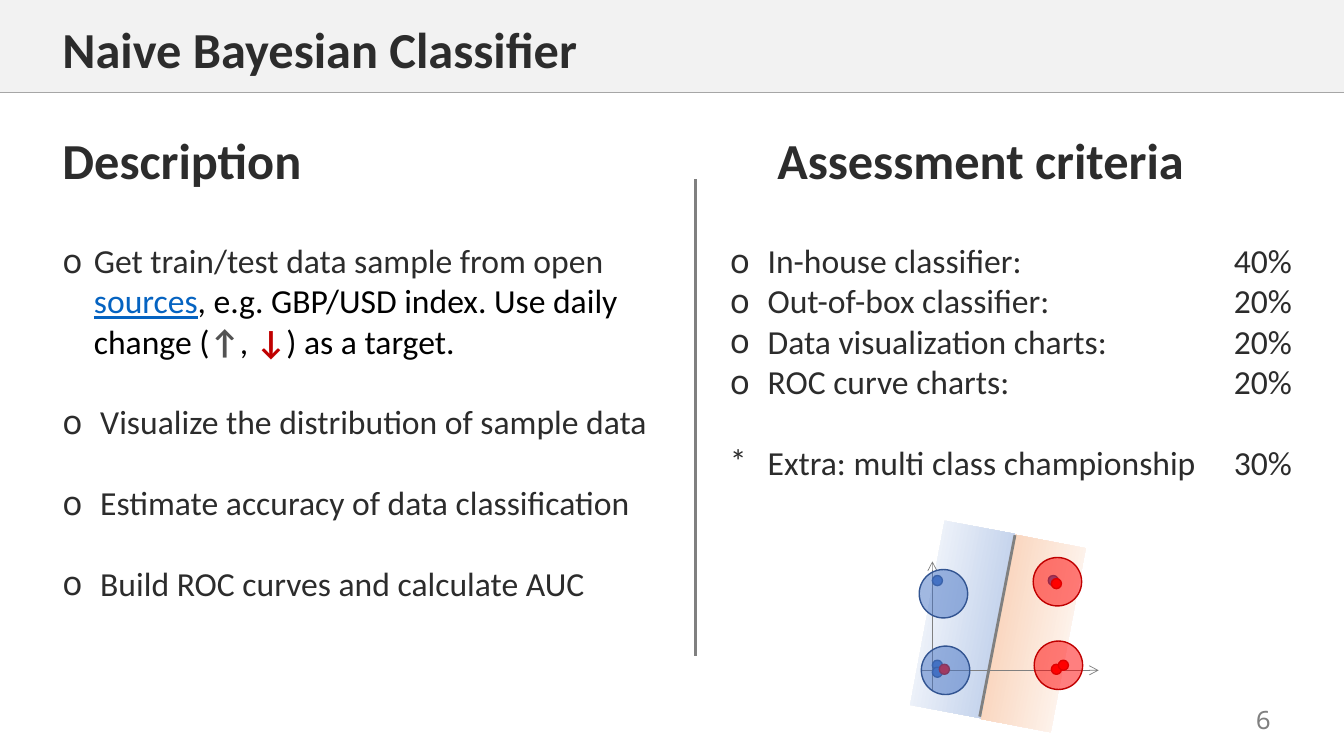
from lxml import etree
from pptx import Presentation
from pptx import util as u
from pptx.dml.color import RGBColor
from pptx.enum import shapes, text
from pptx.oxml.ns import qn

COLORS = {
    "ink": "2C2C2C", "black": "000000", "link": "0563C1", "up": "525252",
    "down": "C00000", "gray": "808080", "rule": "A6A6A6", "header": "F2F2F2",
    "white": "FFFFFF", "blue": "4472C4", "blue edge": "325491",
    "red": "FF0000", "red edge": "C00000",
    "blue zone": "B4C7E7", "orange zone": "F8CBAD",
}
FONT = "Calibri"
MONO = "Noto Sans Mono"
LINE_GAP = 28.8
PERCENT_TAB = 360

DESCRIPTION = [
    ("Get train/test data sample from open ", "ink"), ("sources", "link"),
    (", e.g. GBP/USD index. Use daily change (", "black"), ("↑", "up"),
    (", ", "black"), ("↓", "down"), (") as a target.", "black"),
]
TASKS = [
    "Visualize the distribution of sample data",
    "Estimate accuracy of data classification",
    "Build ROC curves and calculate AUC",
]
CRITERIA = [
    ("In-house classifier:", "40%"),
    ("Out-of-box classifier:", "20%"),
    ("Data visualization charts:", "20%"),
    ("ROC curve charts:", "20%"),
]
EXTRA = "Extra: multi class championship\t30%"
ZONES = [("orange zone", 671, 427, 100.8), ("blue zone", 620.6, 416.9, 280.6)]
SAMPLES = [
    ("blue", 666, 471.6), ("red", 751, 474.5), ("blue", 666, 476.6),
    ("blue", 666, 411.1), ("blue", 748.8, 411.1), ("red", 751, 413.3),
    ("red", 671, 474.5), ("red", 756, 471.6),
]
CLUSTERS = [
    ("red", 738.7, 457.9), ("blue", 658.1, 461.5),
    ("red", 738, 398.2), ("blue", 656.6, 406.8),
]


def rgb(name):
    return RGBColor.from_string(COLORS[name])


def add_child(parent, tag, **attributes):
    return etree.SubElement(parent, qn(tag), attributes)


class SlideBuilder:
    def __init__(self, slide):
        self.slide = slide
        self.canvas = slide.shapes

    def place(self, shape, left, top, width, height):
        shape.left, shape.top = u.Pt(left), u.Pt(top)
        shape.width, shape.height = u.Pt(width), u.Pt(height)
        frame = shape.text_frame
        frame.word_wrap = True
        frame.auto_size = text.MSO_AUTO_SIZE.NONE
        frame.vertical_anchor = text.MSO_ANCHOR.TOP
        return frame

    def style(self, paragraph, size, color="ink", bold=False, font=FONT):
        paragraph.font.name = font
        paragraph.font.size = u.Pt(size)
        paragraph.font.bold = bold
        paragraph.font.color.rgb = rgb(color)

    def heading(self, index, words, *box):
        frame = self.place(self.slide.placeholders[index], *box)
        paragraph = frame.paragraphs[0]
        paragraph.text = words
        paragraph.alignment = text.PP_ALIGN.LEFT
        paragraph.space_before = u.Pt(0)
        self.style(paragraph, 36, bold=True)

    def body(self, index, *box):
        return self.place(self.slide.placeholders[index], *box)

    def item(self, frame, words="", indent=27, gap=0, bullet="o", tab=None):
        paragraph = frame.paragraphs[0]
        if paragraph.runs:
            paragraph = frame.add_paragraph()
        paragraph.text = words
        paragraph.space_before = u.Pt(gap)
        properties = paragraph._p.get_or_add_pPr()
        properties.set("marL", str(u.Pt(indent)))
        properties.set("indent", str(-u.Pt(indent)))
        add_child(properties, "a:buFont", typeface=MONO if bullet == "o" else FONT)
        add_child(properties, "a:buChar", char=bullet)
        if tab:
            stops = add_child(properties, "a:tabLst")
            add_child(stops, "a:tab", pos=str(u.Pt(tab)), algn="l")
        self.style(paragraph, 24)
        return paragraph

    def colored_runs(self, paragraph, parts):
        for words, color in parts:
            run = paragraph.add_run()
            run.text = words
            run.font.color.rgb = rgb(color)
            if color == "link":
                run.font.underline = True
            if color in ("up", "down"):
                run.font.bold = True

    def page_number(self, number, *box):
        frame = self.place(self.canvas.add_textbox(0, 0, 0, 0), *box)
        frame.vertical_anchor = text.MSO_ANCHOR.MIDDLE
        paragraph = frame.paragraphs[0]
        paragraph.text = number
        paragraph.alignment = text.PP_ALIGN.CENTER
        self.style(paragraph, 18, "gray", font=MONO)

    def shape(self, kind, left, top, width, height):
        shape = self.canvas.add_shape(kind, u.Pt(left), u.Pt(top), u.Pt(width), u.Pt(height))
        shape.shadow.inherit = False
        shape.line.fill.background()
        return shape

    def header(self, width, height):
        bar = self.shape(shapes.MSO_SHAPE.RECTANGLE, 0, 0, width, height)
        bar.fill.solid()
        bar.fill.fore_color.rgb = rgb("header")
        self.canvas.element.insert(2, bar.element)
        self.line("rule", 1, 0, height, width, height)

    def zone(self, color, left, top, rotation):
        zone = self.shape(shapes.MSO_SHAPE.RECTANGLE, left, top, 133.9, 51.1)
        zone.rotation = rotation
        zone.fill.gradient()
        zone.fill.gradient_angle = 270
        for stop, name, position in zip(zone.fill.gradient_stops, ("white", color), (0, 0.98)):
            stop.color.rgb = rgb(name)
            stop.position = position

    def circle(self, color, left, top, size, alpha=None):
        circle = self.shape(shapes.MSO_SHAPE.FLOWCHART_CONNECTOR, left, top, size, size)
        circle.fill.solid()
        circle.fill.fore_color.rgb = rgb(color)
        circle.line.color.rgb = rgb(color + " edge")
        circle.line.width = u.Pt(1)
        if alpha:
            fill = circle.element.spPr.find(qn("a:solidFill"))
            add_child(fill[0], "a:alpha", val=str(alpha * 1000))

    def line(self, color, weight, *ends, arrow=False):
        line = self.canvas.add_connector(shapes.MSO_CONNECTOR.STRAIGHT, *map(u.Pt, ends))
        line.line.color.rgb = rgb(color)
        line.line.width = u.Pt(weight)
        properties = line._element.spPr
        if arrow:
            add_child(properties.find(qn("a:ln")), "a:tailEnd", type="arrow")
        add_child(properties, "a:effectLst")

    def group(self):
        self.canvas = self.slide.shapes.add_group_shape().shapes


def main():
    presentation = Presentation()
    presentation.slide_width, presentation.slide_height = u.Pt(960), u.Pt(540)
    slide = presentation.slides.add_slide(presentation.slide_layouts[4])
    builder = SlideBuilder(slide)

    builder.header(960, 66.2)
    builder.heading(0, "Naive Bayesian Classifier", 37.4, 9.4, 702.7, 51.1)
    builder.heading(1, "Description", 37.4, 88.6, 255, 51.1)
    builder.heading(3, "Assessment criteria", 548, 88.6, 374.4, 51.1)

    description = builder.body(2, 37.4, 167.8, 459.4, 269.3)
    builder.colored_runs(builder.item(description, indent=22.5), DESCRIPTION)
    for task in TASKS:
        builder.item(description, task, gap=LINE_GAP)

    criteria = builder.body(4, 514.1, 167.8, 419.8, 181.4)
    for criterion, share in CRITERIA:
        builder.item(criteria, f"{criterion}\t{share}", tab=PERCENT_TAB)
    builder.item(criteria, EXTRA, gap=LINE_GAP, bullet="*", tab=PERCENT_TAB)

    builder.line("gray", 1.5, 496.8, 128.2, 496.8, 468.7)
    builder.page_number("6", 871.2, 502.6, 62.6, 22.3)

    builder.group()
    for zone in ZONES:
        builder.zone(*zone)
    builder.line("gray", 0.5, 658.8, 478.8, 784.8, 478.8, arrow=True)
    builder.line("gray", 0.5, 666, 493.9, 666, 401, arrow=True)
    for sample in SAMPLES:
        builder.circle(*sample, 7.2)
    for cluster in CLUSTERS:
        builder.circle(*cluster, 34.6, alpha=50)
    builder.line("gray", 2, 699.8, 511.9, 725, 382.3)
    presentation.save("out.pptx")


if __name__ == "__main__":
    main()
